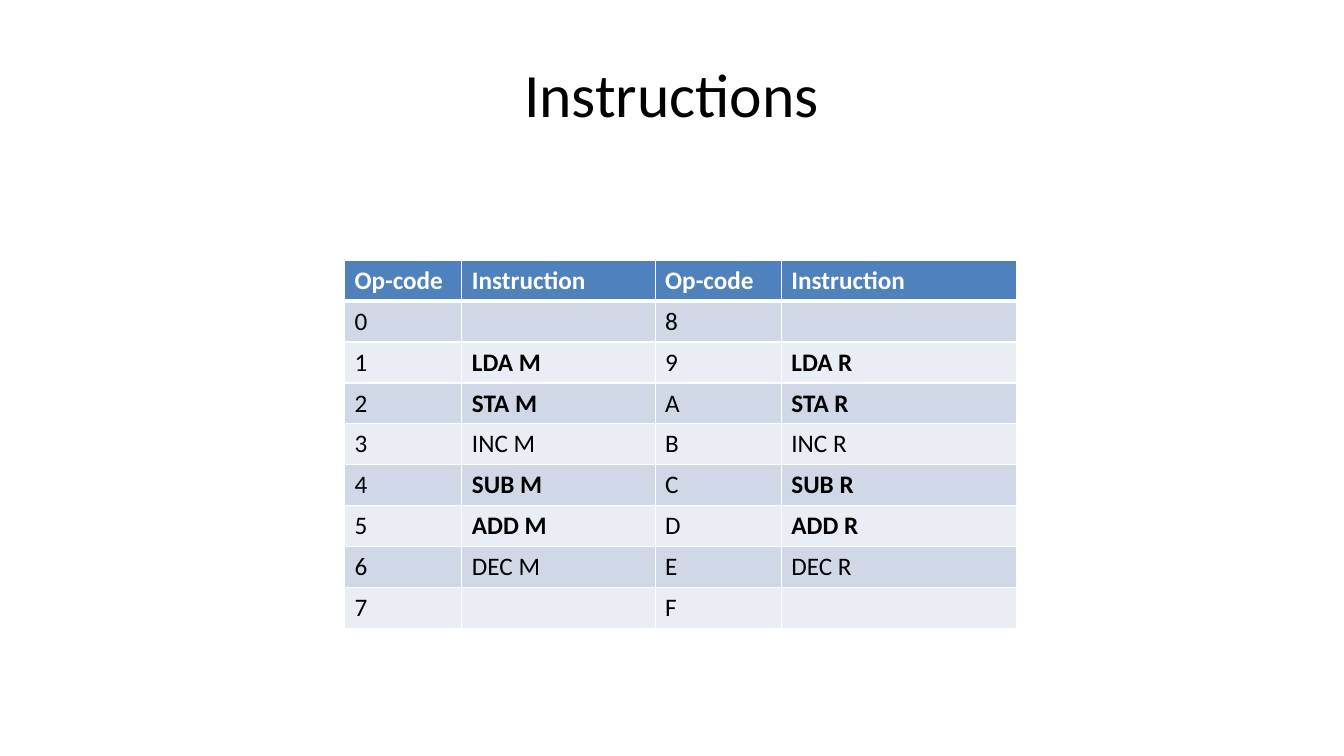
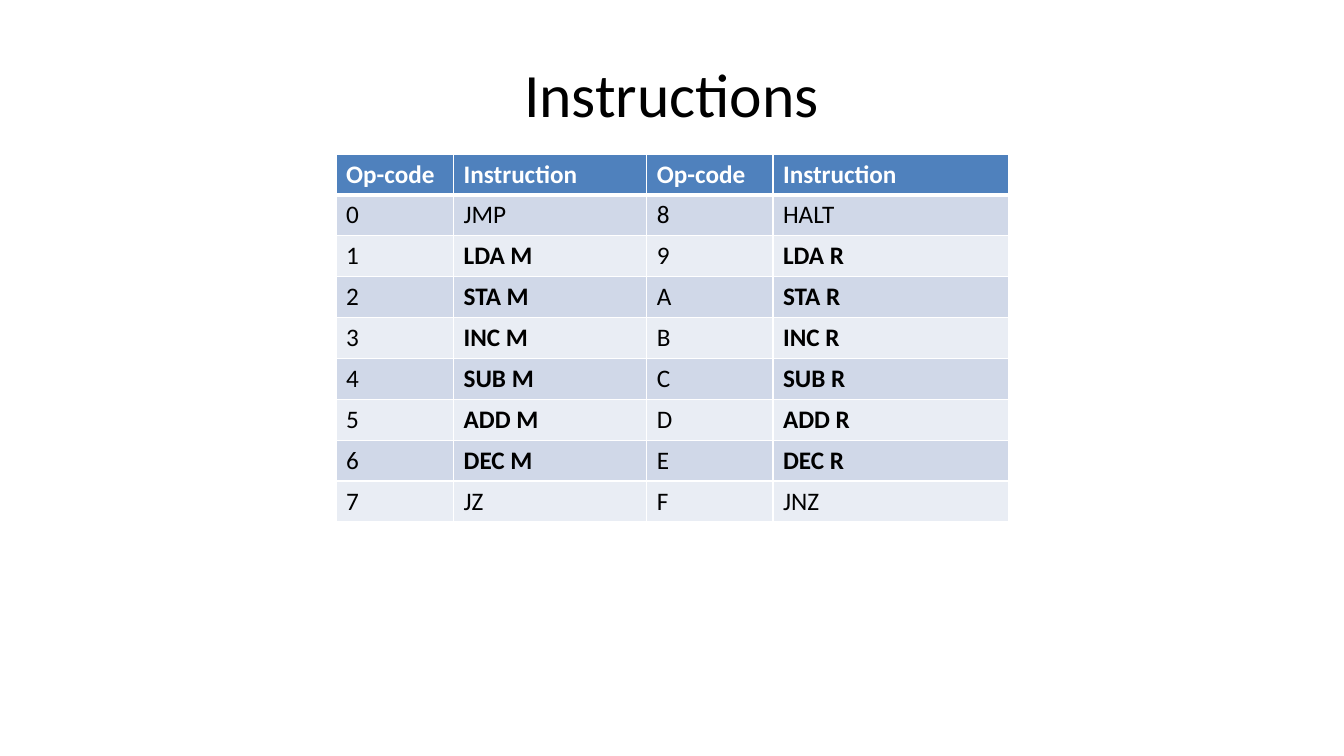
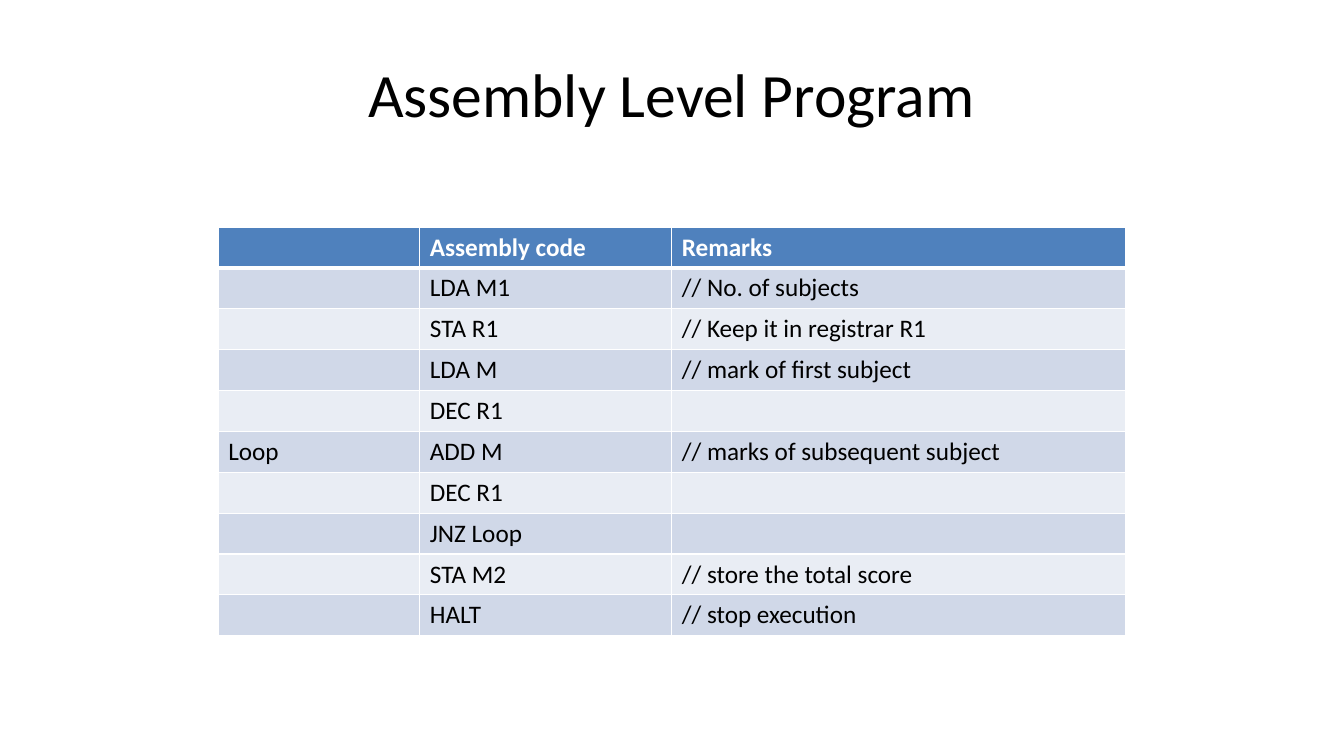
from dataclasses import dataclass

from lxml.etree import SubElement
from pptx import Presentation
from pptx.dml.color import RGBColor
from pptx.enum.text import MSO_ANCHOR as Anchor, PP_ALIGN as Align
from pptx.oxml.ns import qn
from pptx.util import Cm, Pt

# Shared style
FONT = "Calibri"
BLACK, WHITE = "000000", "FFFFFF"
HEADER_FILL = "4F81BD"
BAND_FILLS = ("D0D8E8", "E9EDF4")
ROW_HEIGHT = 1.03
THIN, THICK = 1, 3
BLANK_LAYOUT = 6


@dataclass(frozen=True)
class TableSlide:
    """One titled slide with a table; lengths are in centimetres."""
    title: str
    left: float
    top: float
    column_widths: tuple[float, ...]
    rows: list[tuple[str, ...]]
    bold_texts: frozenset[str] = frozenset()


def colour(hex_code: str) -> RGBColor:
    return RGBColor.from_string(hex_code)


def style_text(text_frame, size: int, hex_code: str, bold: bool = False) -> None:
    for paragraph in text_frame.paragraphs:
        for run in paragraph.runs:
            run.font.name = FONT
            run.font.size = Pt(size)
            run.font.bold = bold
            run.font.color.rgb = colour(hex_code)


def add_borders(cell, top: int, bottom: int) -> None:
    properties = cell._tc.get_or_add_tcPr()
    widths = {"a:lnL": THIN, "a:lnR": THIN, "a:lnT": top, "a:lnB": bottom}
    for tag, width in widths.items():
        line = SubElement(properties, qn(tag), w=str(Pt(width)))
        fill = SubElement(line, qn("a:solidFill"))
        SubElement(fill, qn("a:srgbClr"), val=WHITE)


def add_title(slide, title: str) -> None:
    shape = slide.shapes.add_textbox(Cm(1.69), Cm(0.76), Cm(30.48), Cm(3.18))
    text_frame = shape.text_frame
    text_frame.word_wrap = True
    text_frame.vertical_anchor = Anchor.MIDDLE
    text_frame.text = title
    text_frame.paragraphs[0].alignment = Align.CENTER
    style_text(text_frame, 44, BLACK)


def add_banded_table(slide, content: TableSlide) -> None:
    row_count, column_count = len(content.rows), len(content.column_widths)
    table = slide.shapes.add_table(
        row_count, column_count, Cm(content.left), Cm(content.top),
        Cm(sum(content.column_widths)), Cm(ROW_HEIGHT * row_count)).table
    for column, width in zip(table.columns, content.column_widths):
        column.width = Cm(width)

    for row_index, texts in enumerate(content.rows):
        table.rows[row_index].height = Cm(ROW_HEIGHT)
        is_header = row_index == 0
        fill = HEADER_FILL if is_header else BAND_FILLS[(row_index - 1) % 2]
        for column_index, text in enumerate(texts):
            cell = table.cell(row_index, column_index)
            add_borders(cell, top=THICK if row_index == 1 else THIN,
                        bottom=THICK if is_header else THIN)
            cell.fill.solid()
            cell.fill.fore_color.rgb = colour(fill)
            if text:
                cell.text_frame.text = text
                style_text(cell.text_frame, 18, WHITE if is_header else BLACK,
                           is_header or text in content.bold_texts)


# Instruction set: op-codes 1 to 6 work on memory (M), 9 to E on registers (R)
OPERATIONS = ("LDA", "STA", "INC", "SUB", "ADD", "DEC")


def instruction_slide(left: float, top: float, first: tuple[str, str],
                      last: tuple[str, str], bold: tuple[str, ...]) -> TableSlide:
    pairs = [first, *((f"{name} M", f"{name} R") for name in OPERATIONS), last]
    rows = [("Op-code", "Instruction") * 2]
    rows += [(f"{code:X}", memory, f"{code + 8:X}", register)
             for code, (memory, register) in enumerate(pairs)]
    bold_texts = frozenset(f"{name} {operand}" for name in bold for operand in "MR")
    return TableSlide("Instructions", left, top, (2.96, 4.87, 3.18, 5.93),
                      rows, bold_texts)


SLIDES = (
    instruction_slide(8.68, 6.56, ("", ""), ("", ""), ("LDA", "STA", "SUB", "ADD")),
    instruction_slide(8.47, 3.88, ("JMP", "HALT"), ("JZ", "JNZ"), OPERATIONS),
    TableSlide("Assembly Level Program", 5.5, 5.72, (5.08, 6.35, 11.43), [
        ("", "Assembly code", "Remarks"),
        ("", "LDA M1", "// No. of subjects"),
        ("", "STA R1", "// Keep it in registrar R1"),
        ("", "LDA M", "// mark of first subject"),
        ("", "DEC R1", ""),
        ("Loop", "ADD M", "// marks of subsequent subject"),
        ("", "DEC R1", ""),
        ("", "JNZ Loop", ""),
        ("", "STA M2", "// store the total score"),
        ("", "HALT", "// stop execution"),
    ]),
)


def main() -> None:
    presentation = Presentation()
    presentation.slide_width, presentation.slide_height = Cm(33.87), Cm(19.05)
    for content in SLIDES:
        slide = presentation.slides.add_slide(presentation.slide_layouts[BLANK_LAYOUT])
        add_title(slide, content.title)
        add_banded_table(slide, content)
    presentation.save("out.pptx")


if __name__ == "__main__":
    main()
